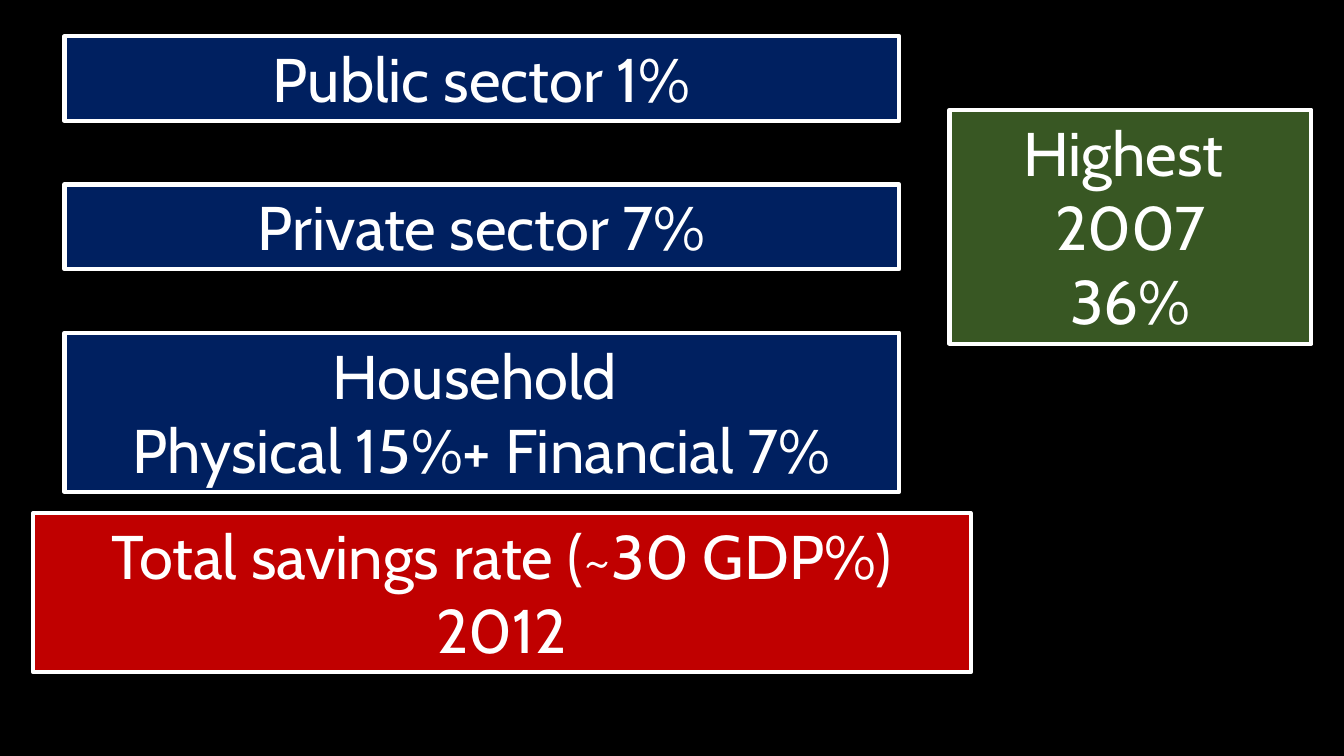
from pptx import Presentation
from pptx.dml.color import RGBColor
from pptx.enum.shapes import MSO_SHAPE
from pptx.enum.text import MSO_ANCHOR, MSO_AUTO_SIZE, PP_ALIGN
from pptx.util import Pt

RECT = MSO_SHAPE.RECTANGLE
CENTER = PP_ALIGN.CENTER
TOP = MSO_ANCHOR.TOP
GROW = MSO_AUTO_SIZE.SHAPE_TO_FIT_TEXT

BLACK, WHITE = "000000", "FFFFFF"
NAVY, RED, GREEN = "002060", "C00000", "385723"


def color(code):
    """Turn a hex string into a colour."""
    return RGBColor.from_string(code)


class Board:
    """Hold the text style and the current slide."""

    font = "Cabin"
    size = 44
    row = 53.28
    pad = 3.6

    def __init__(self, slide):
        """Keep the slide and paint its background black."""
        self.slide = slide
        fill = slide.background.fill
        fill.solid()
        fill.fore_color.rgb = color(BLACK)

    def box(self, left, top, width, tint, lines):
        """Add a bordered box whose height follows its lines."""
        height = self.row * len(lines) + 2 * self.pad
        shape = self.slide.shapes.add_shape(
            RECT, Pt(left), Pt(top), Pt(width), Pt(height))
        shape.shadow.inherit = False
        shape.fill.solid()
        shape.fill.fore_color.rgb = color(tint)
        shape.line.color.rgb = color(WHITE)
        shape.line.width = Pt(3)
        self.text(shape.text_frame, lines)

    def text(self, frame, lines):
        """Write one centred paragraph for each line."""
        frame.word_wrap = True
        frame.auto_size = GROW
        frame.vertical_anchor = TOP
        for spot, line in enumerate(lines):
            para = frame.add_paragraph() if spot else frame.paragraphs[0]
            para.alignment = CENTER
            run = para.add_run()
            run.text = line
            run.font.name = self.font
            run.font.size = Pt(self.size)
            run.font.color.rgb = color(WHITE)


def main():
    """Build the savings slide."""
    deck = Presentation()
    deck.slide_width, deck.slide_height = Pt(960), Pt(540)
    board = Board(deck.slides.add_slide(deck.slide_layouts[6]))

    board.box(23.76, 366.48, 669.6, RED,
              ["Total savings rate (~30 GDP%)", "2012"])
    sectors = [
        ["Public sector 1%"],
        ["Private sector 7%"],
        ["Household ", "Physical 15%+ Financial 7%"],
    ]
    for step, lines in enumerate(sectors):
        board.box(46.08, 25.92 + 105.84 * step, 596.16, NAVY, lines)
    board.box(678.24, 78.48, 258.48, GREEN, ["Highest ", "2007", "36%"])

    deck.save("out.pptx")


if __name__ == "__main__":
    main()
